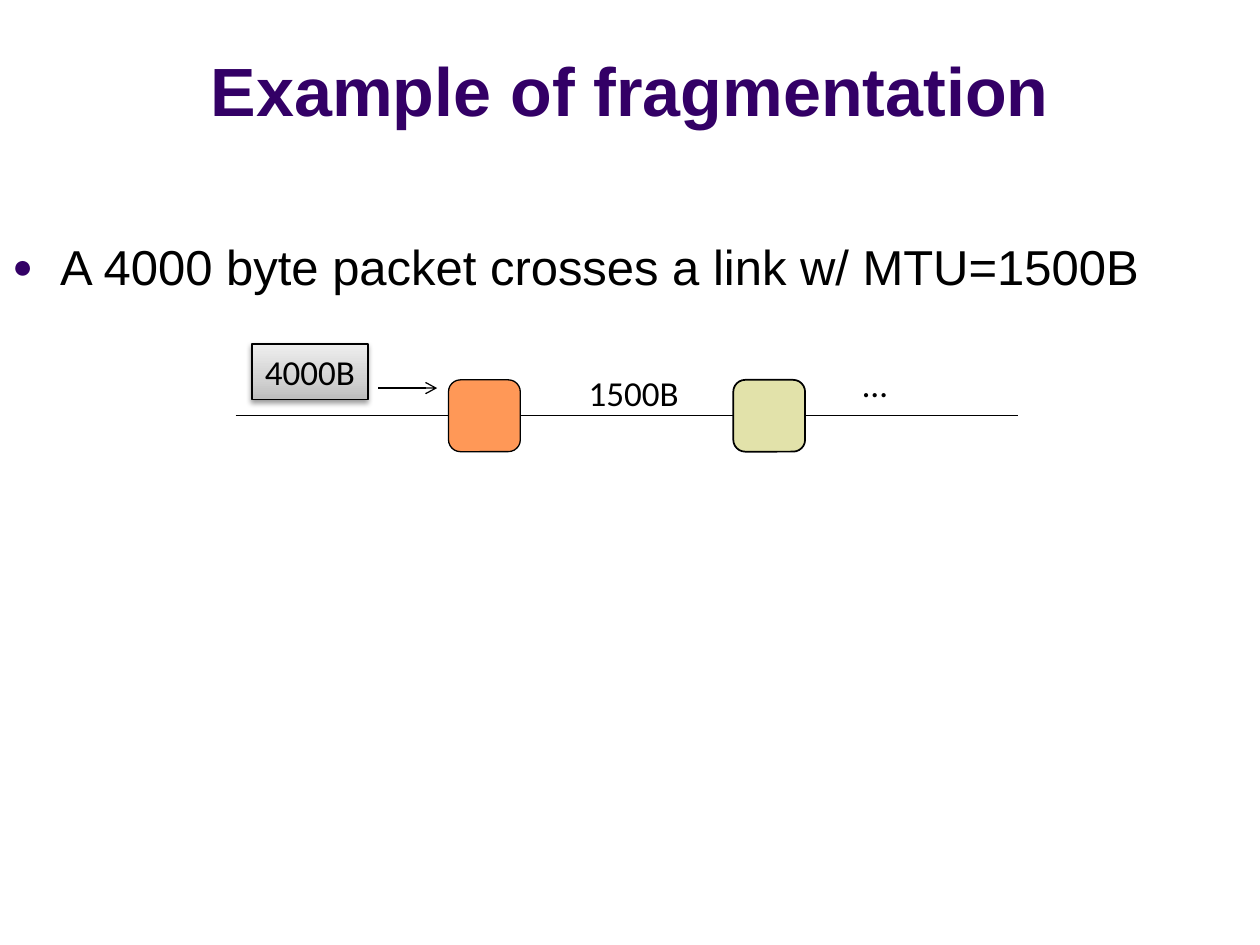
from copy import deepcopy

from lxml import etree
from pptx import Presentation
from pptx.dml.color import RGBColor
from pptx.enum.shapes import MSO_CONNECTOR, MSO_SHAPE
from pptx.enum.text import MSO_ANCHOR, MSO_AUTO_SIZE, PP_ALIGN
from pptx.oxml.ns import qn
from pptx.util import Inches, Pt

STRAIGHT = MSO_CONNECTOR.STRAIGHT
RECTANGLE, ROUNDED = MSO_SHAPE.RECTANGLE, MSO_SHAPE.ROUNDED_RECTANGLE
TOP, BOTTOM = MSO_ANCHOR.TOP, MSO_ANCHOR.BOTTOM
LEFT, CENTER = PP_ALIGN.LEFT, PP_ALIGN.CENTER
GROW = MSO_AUTO_SIZE.SHAPE_TO_FIT_TEXT

BLACK = RGBColor(0x00, 0x00, 0x00)
PURPLE = RGBColor(0x33, 0x00, 0x66)
ORANGE = RGBColor(0xFF, 0x98, 0x57)
KHAKI = RGBColor(0xE2, 0xE2, 0xAA)
PACKET_GREYS = [
    (0, RGBColor(0xBD, 0xBD, 0xBD)),
    (0.35, RGBColor(0xD1, 0xD1, 0xD1)),
    (1, RGBColor(0xEE, 0xEE, 0xEE)),
]

TITLE = {"name": "Arial", "size": Pt(39), "bold": True}
BODY = {"name": "Arial", "size": Pt(28)}
LABEL = {"name": "Calibri", "size": Pt(20)}


def add_xml(parent, tag, **attributes):
    return etree.SubElement(parent, qn(tag), attributes)


class Diagram:
    """Draws styled elements on one slide."""

    def __init__(self, slide, line_color=BLACK):
        self.shapes = slide.shapes
        self.line_color = line_color

    def fill_text(self, shape, text, font, color=BLACK, align=CENTER, anchor=TOP, wrap=False):
        frame = shape.text_frame
        frame.word_wrap = wrap
        frame.vertical_anchor = anchor
        if not wrap:
            frame.auto_size = GROW
        paragraph = frame.paragraphs[0]
        paragraph.alignment = align
        run = paragraph.add_run()
        run.text = text
        for attribute, value in font.items():
            setattr(run.font, attribute, value)
        run.font.color.rgb = color
        return paragraph

    def text(self, box, text, font, **options):
        shape = self.shapes.add_textbox(*map(Inches, box))
        return self.fill_text(shape, text, font, **options)

    def bullet(self, box, text, font, bullet_color):
        paragraph = self.text(box, text, font, align=LEFT, wrap=True)
        paragraph.line_spacing = 0.9
        paragraph.space_before = Pt(font["size"].pt * 0.2)
        properties = paragraph._p.get_or_add_pPr()
        properties.set("marL", str(Inches(0.38)))
        properties.set("indent", str(Inches(-0.38)))
        color = add_xml(properties, "a:buClr")
        add_xml(color, "a:srgbClr", val=str(bullet_color))
        add_xml(properties, "a:buSzPct", val="70000")
        add_xml(properties, "a:buFont", typeface="Arial")
        add_xml(properties, "a:buChar", char="●")

    def box(self, kind, box, color=None, width=0.75):
        shape = self.shapes.add_shape(kind, *map(Inches, box))
        shape.shadow.inherit = False
        if color is not None:
            shape.fill.solid()
            shape.fill.fore_color.rgb = color
        shape.line.color.rgb = self.line_color
        shape.line.width = Pt(width)
        return shape

    def packet(self, box, text, font, greys):
        shape = self.box(RECTANGLE, box)
        # Upward gradient
        shape.fill.gradient()
        shape.fill.gradient_angle = 90
        stop_list = shape._element.spPr.find(".//" + qn("a:gsLst"))
        stop_list.insert(1, deepcopy(stop_list[0]))
        for stop, (position, grey) in zip(shape.fill.gradient_stops, greys):
            stop.position = position
            stop.color.rgb = grey
        # Soft shadow below
        effects = shape._element.spPr.find(qn("a:effectLst"))
        shadow = add_xml(effects, "a:outerShdw", blurRad=str(Pt(3.1)),
                         dist=str(Pt(1.6)), dir="5400000", rotWithShape="0")
        color = add_xml(shadow, "a:srgbClr", val=str(BLACK))
        add_xml(color, "a:alpha", val="38000")
        self.fill_text(shape, text, font)

    def line(self, start, end, y, arrow=False):
        connector = self.shapes.add_connector(
            STRAIGHT, Inches(start), Inches(y), Inches(end), Inches(y))
        connector.line.color.rgb = self.line_color
        connector.line.width = Pt(0.75)
        if arrow:
            outline = connector._element.spPr.find(qn("a:ln"))
            add_xml(outline, "a:tailEnd", type="arrow")
        add_xml(connector._element.spPr, "a:effectLst")


presentation = Presentation()
presentation.slide_width = Inches(10)
presentation.slide_height = Inches(7.5)
diagram = Diagram(presentation.slides.add_slide(presentation.slide_layouts[6]))

# Title and statement
diagram.text((0, 0.13, 10, 0.95), "Example of fragmentation", TITLE,
             color=PURPLE, anchor=BOTTOM, wrap=True)
diagram.bullet((0, 1.88, 10, 1.2), "A 4000 byte packet crosses a link w/ MTU=1500B",
               BODY, PURPLE)

# Routers, each preceded by a link, and a final link
LINK_START, LINK_LENGTH, LINK_Y = 1.87, 1.69, 3.3
ROUTER_SIZE = 0.57
HOP = LINK_LENGTH + ROUTER_SIZE
for hop, (color, width) in enumerate([(ORANGE, 0.75), (KHAKI, 1)]):
    router_left = LINK_START + LINK_LENGTH + hop * HOP
    diagram.box(ROUNDED, (router_left, LINK_Y - ROUTER_SIZE / 2,
                          ROUTER_SIZE, ROUTER_SIZE), color, width)
for hop in range(3):
    link_left = LINK_START + hop * HOP
    diagram.line(link_left, link_left + LINK_LENGTH, LINK_Y)

# Packet, link limit and continuation
diagram.packet((2, 2.73, 0.92, 0.44), "4000B", LABEL, PACKET_GREYS)
diagram.text((4.57, 2.9, 0.92, 0.44), "1500B", LABEL)
diagram.text((6.75, 2.83, 0.45, 0.75), "…", LABEL, align=LEFT)
diagram.line(3, 3.47, 3.08, arrow=True)

presentation.save("out.pptx")
